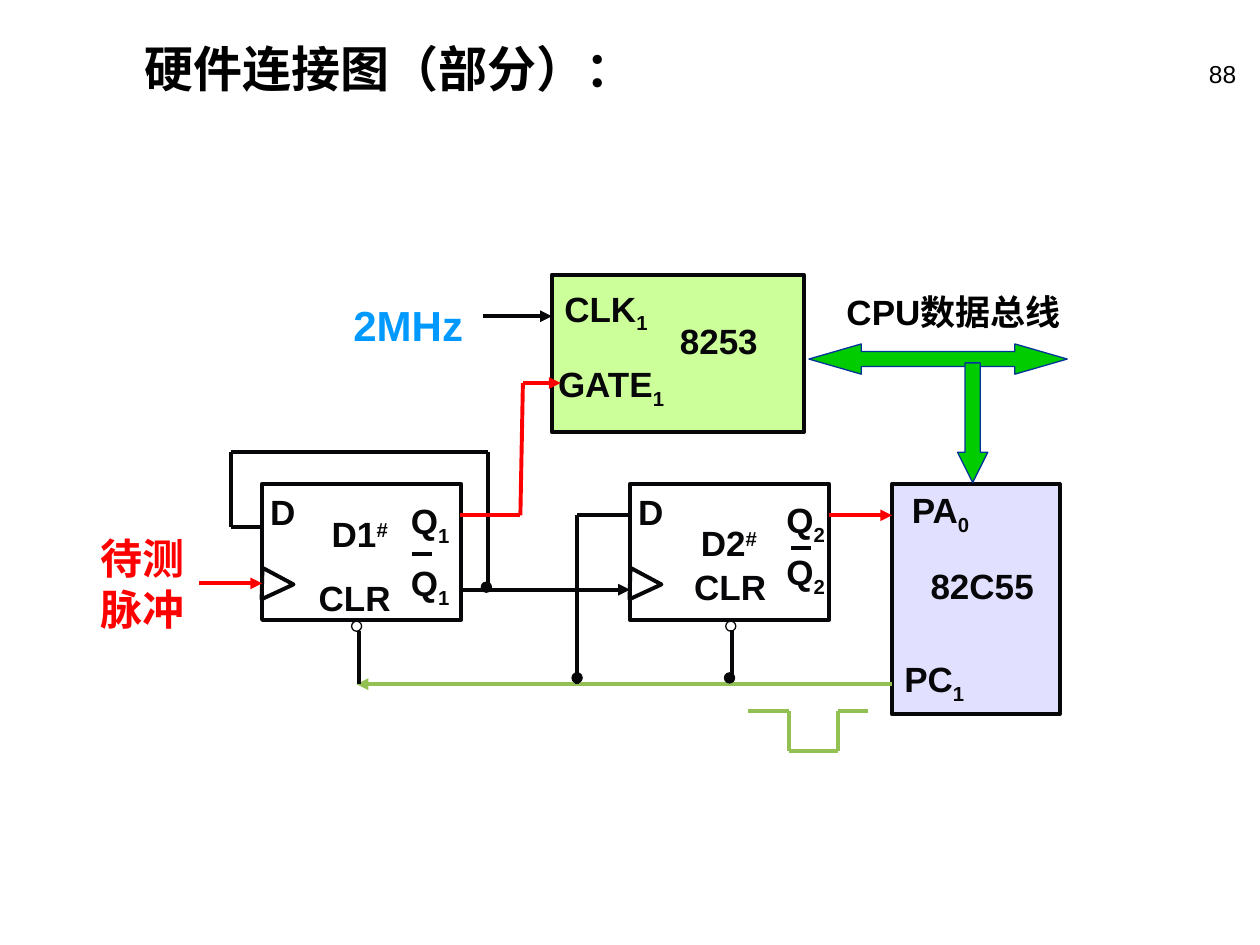
from itertools import pairwise

from lxml import etree
from pptx import Presentation
from pptx.dml.color import RGBColor
from pptx.enum import shapes, text
from pptx.oxml import ns
from pptx.util import Inches, Pt

INK = RGBColor(0x07, 0x07, 0x09)
BLACK = RGBColor(0x00, 0x00, 0x00)
RED = RGBColor(0xFF, 0x00, 0x00)
SKY = RGBColor(0x00, 0x99, 0xFF)
LIME = RGBColor(0xCC, 0xFF, 0x99)
LAVENDER = RGBColor(0xE1, 0xE1, 0xFF)
BUS_GREEN = RGBColor(0x00, 0xCC, 0x00)
BUS_EDGE = RGBColor(0x00, 0x33, 0x99)
PULSE_GREEN = RGBColor(0x93, 0xC0, 0x52)

SHAPE = shapes.MSO_SHAPE
ALIGN = text.PP_ALIGN
SUB, SUPER = -25000, 30000
LABEL_FORMAT = {"name": "Arial", "size": Pt(20), "bold": True}


def add_label(slide, box, *lines, color=INK, align=ALIGN.CENTER, wrap=True,
              spacing=None, **changes):
    """Add a text box whose lines are strings or (base, mark, baseline) tuples."""
    frame = slide.shapes.add_textbox(*map(Inches, box)).text_frame
    frame.word_wrap = wrap
    for index, line in enumerate(lines):
        paragraph = frame.add_paragraph() if index else frame.paragraphs[0]
        paragraph.alignment = align
        if index:
            paragraph.space_before = Pt(2.5)
        if spacing:
            paragraph.line_spacing = spacing
        base, mark, baseline = (line, "", 0) if isinstance(line, str) else line
        for content, offset in ((base, 0), (mark, baseline)):
            if not content:
                continue
            run = paragraph.add_run()
            run.text = content
            for key, value in (LABEL_FORMAT | changes).items():
                setattr(run.font, key, value)
            run.font.color.rgb = color
            if offset:
                run.font._element.set("baseline", str(offset))


def add_block(slide, kind, box, fill=None, edge=INK, width=2.25, rotation=0,
              adjustments=()):
    """Add an outlined preset shape, filled only when a fill is given."""
    block = slide.shapes.add_shape(kind, *map(Inches, box))
    block.shadow.inherit = False
    block.rotation = rotation
    for index, value in enumerate(adjustments):
        block.adjustments[index] = value
    if fill is None:
        block.fill.background()
    else:
        block.fill.solid()
        block.fill.fore_color.rgb = fill
    block.line.color.rgb = edge
    block.line.width = Pt(width)


def add_wire(slide, *points, color=INK, arrow=False):
    """Add straight segments through the points, with an optional arrow at the end."""
    for start, end in pairwise(points):
        segment = slide.shapes.add_connector(
            shapes.MSO_CONNECTOR.STRAIGHT, *map(Inches, start + end))
        segment.line.color.rgb = color
        segment.line.width = Pt(2.25)
        properties = segment._element.spPr
        if arrow and end == points[-1]:
            tail = etree.SubElement(segment.line._get_or_add_ln(), ns.qn("a:tailEnd"))
            tail.set("type", "triangle")
        etree.SubElement(properties, ns.qn("a:effectLst"))


def add_circle(slide, left, top, fill=None):
    """Add a junction dot or, without a fill, an inverting input's bubble."""
    add_block(slide, SHAPE.OVAL, (left, top, 0.08, 0.08), fill, width=0.75)


def add_flip_flop(slide, left, number, bubble_left, name_at, clear_at, output_box,
                  bar, spacing=None):
    """Add a D flip-flop with its clock wedge, clear bubble and labels."""
    output = ("Q", number, SUB)
    add_block(slide, SHAPE.RECTANGLE, (left, 3.84, 1.58, 1.08))
    add_block(slide, SHAPE.ISOSCELES_TRIANGLE, (left, 4.51, 0.25, 0.25), rotation=91.7)
    add_circle(slide, bubble_left, 4.93)
    add_label(slide, (left - 0.17, 3.84, 0.67, 0.44), "D")
    add_label(slide, output_box, output, output, spacing=spacing)
    add_wire(slide, *bar)
    add_label(slide, (*clear_at, 0.83, 0.44), "CLR")
    add_label(slide, (*name_at, 0.91, 0.44), ("D" + number, "#", SUPER))


def add_timer(slide):
    """Add the timer chip with its clock source."""
    add_block(slide, SHAPE.RECTANGLE, (4.38, 2.18, 2, 1.25), LIME)
    add_label(slide, (4.38, 2.23, 1.08, 0.48), ("CLK", "1", SUB), align=ALIGN.LEFT)
    add_label(slide, (5.08, 2.49, 1.25, 0.44), "8253")
    add_label(slide, (4.32, 2.83, 1.06, 0.48), ("GATE", "1", SUB), wrap=False)
    add_label(slide, (2.64, 2.33, 1.2, 0.5), "2MHz", color=SKY, size=Pt(24))
    add_wire(slide, (3.83, 2.51), (4.38, 2.51), arrow=True)


def add_port_chip(slide):
    """Add the parallel port chip and its pin labels."""
    add_block(slide, SHAPE.RECTANGLE, (7.08, 3.84, 1.33, 1.83), LAVENDER)
    add_label(slide, (7.01, 3.83, 0.91, 0.48), ("PA", "0", SUB))
    add_label(slide, (6.96, 5.17, 0.91, 0.48), ("PC", "1", SUB))
    add_label(slide, (7.17, 4.43, 1.25, 0.44), "82C55")


def add_data_bus(slide):
    """Add the CPU data bus and its branch to the port chip."""
    for kind, box, head in (
            (SHAPE.LEFT_RIGHT_ARROW, (6.42, 2.73, 2.05, 0.24), 1.73),
            (SHAPE.DOWN_ARROW, (7.6, 2.88, 0.24, 0.95), 1)):
        add_block(slide, kind, box, BUS_GREEN, BUS_EDGE, 0.75, adjustments=(0.5, head))
    add_label(slide, (6.62, 2.26, 1.97, 0.44), "CPU数据总线", color=BLACK,
              align=ALIGN.LEFT, wrap=False)


def add_signals(slide):
    """Add the wires between the chips, their junctions and the clear pulse."""
    add_wire(slide, (2.08, 4.18), (1.83, 4.18), (1.83, 3.59), (3.87, 3.59), (3.87, 4.68))
    add_wire(slide, (3.67, 4.68), (5, 4.68), arrow=True)
    add_wire(slide, (3.65, 4.09), (4.13, 4.09), (4.15, 3.04), (4.45, 3.04),
             color=RED, arrow=True)
    for left, y in ((6.58, 4.09), (1.58, 4.63)):
        add_wire(slide, (left, y), (left + 0.5, y), color=RED, arrow=True)
    add_wire(slide, (7.08, 5.43), (2.83, 5.43), color=PULSE_GREEN, arrow=True)
    add_wire(slide, (2.85, 5.43), (2.85, 5.01))
    add_wire(slide, (5.81, 5.41), (5.81, 5))
    add_wire(slide, (4.58, 5.43), (4.58, 4.09), (5, 4.09))
    for left, top in ((3.82, 4.62), (5.75, 5.34), (4.54, 5.34)):
        add_circle(slide, left, top, INK)
    add_wire(slide, (5.94, 5.64), (6.26, 5.64), (6.26, 5.96), (6.65, 5.96),
             (6.65, 5.64), (6.89, 5.64), color=PULSE_GREEN)
    add_label(slide, (0.67, 4.18, 0.92, 0.9), "待测脉冲", color=RED, size=Pt(24))


def main():
    """Build the hardware connection slide."""
    deck = Presentation()
    deck.slide_width, deck.slide_height = Inches(10), Inches(7.5)
    slide = deck.slides.add_slide(deck.slide_layouts[6])
    add_label(slide, (1.05, 0.26, 4.08, 0.57), "硬件连接图（部分）：", color=BLACK,
              align=ALIGN.LEFT, wrap=False, size=Pt(28))
    add_label(slide, (7.83, 0.42, 2.08, 0.5), "88", color=BLACK, align=ALIGN.RIGHT,
              size=Pt(14), bold=False)
    add_timer(slide)
    add_flip_flop(slide, 2.08, "1", 2.79, (2.4, 4.02), (2.4, 4.53),
                  (3, 3.84, 0.83, 1.05), ((3.27, 4.4), (3.43, 4.4)), spacing=1.2)
    add_flip_flop(slide, 5, "2", 5.76, (5.33, 4.09), (5.38, 4.44),
                  (5.98, 3.91, 0.83, 0.9), ((6.28, 4.35), (6.44, 4.35)))
    add_port_chip(slide)
    add_data_bus(slide)
    add_signals(slide)
    deck.save("out.pptx")


if __name__ == "__main__":
    main()
